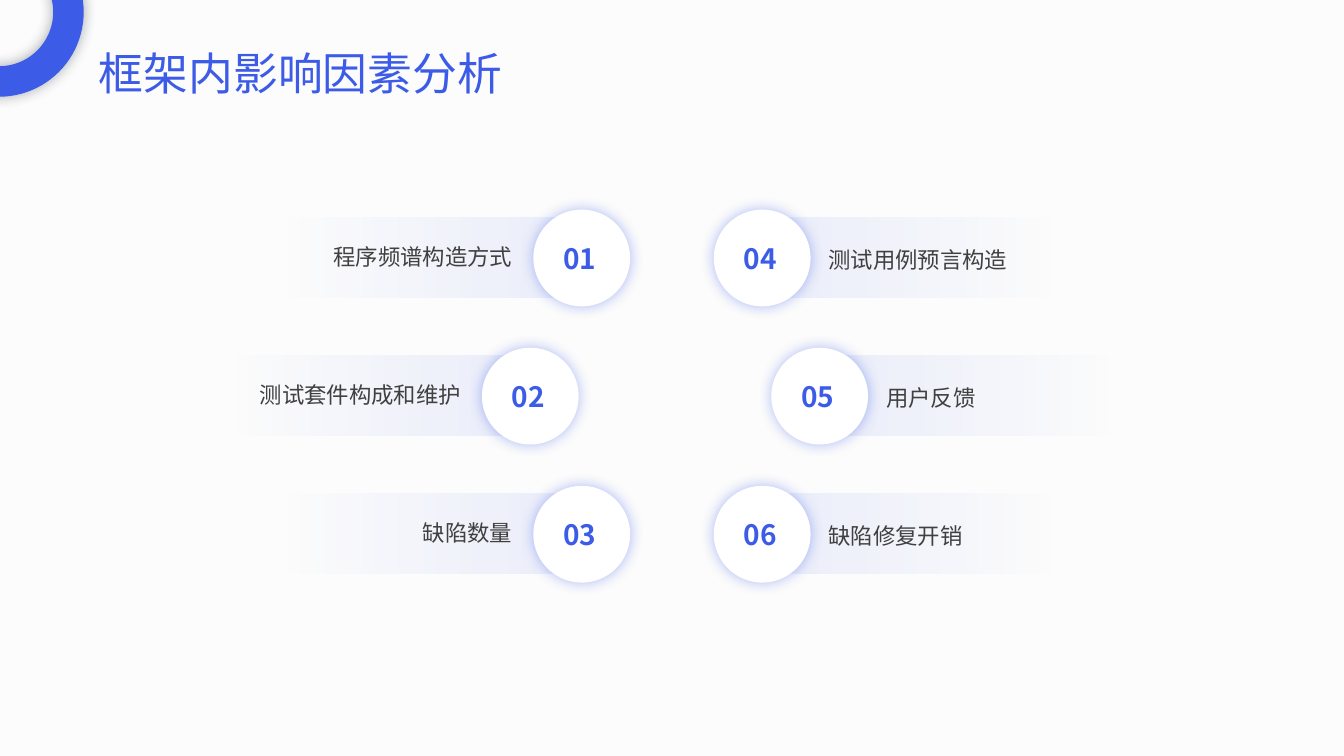
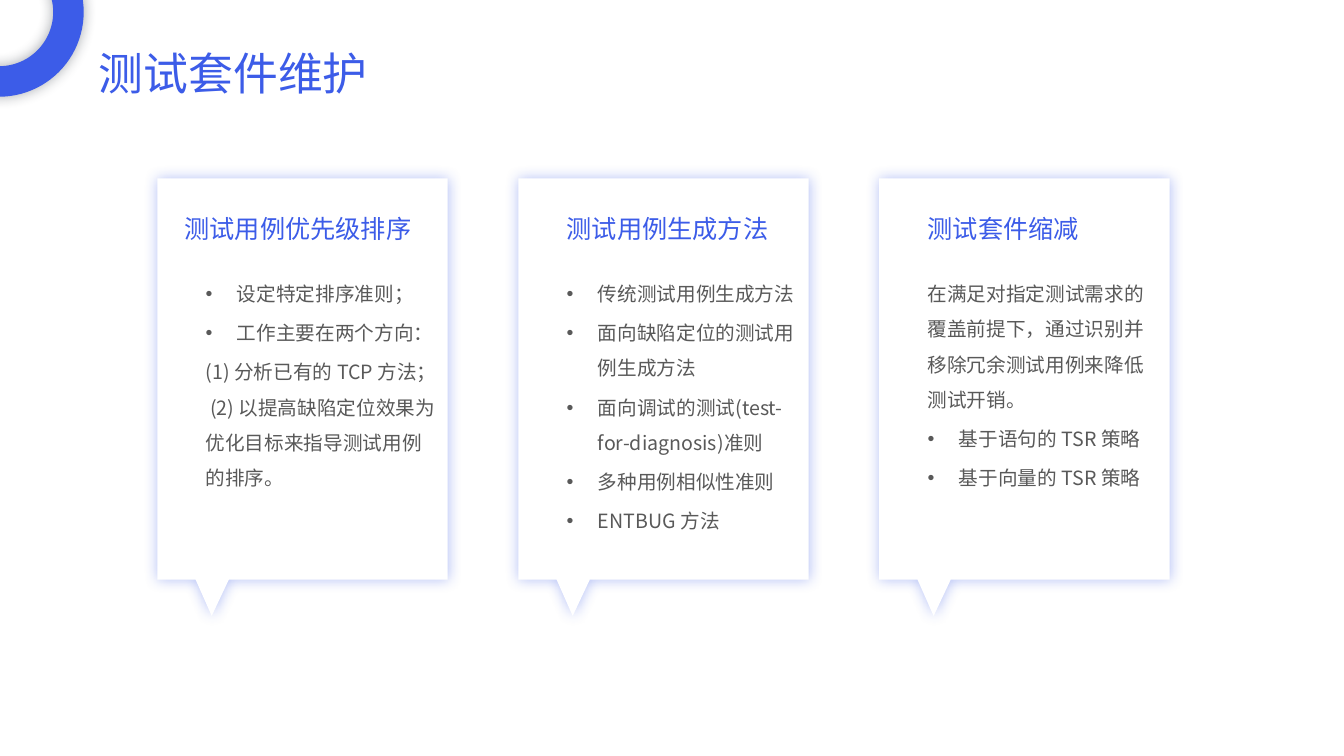
from lxml import etree
from pptx import Presentation
from pptx.dml.color import RGBColor
from pptx.enum.shapes import MSO_SHAPE
from pptx.enum.text import MSO_ANCHOR, MSO_AUTO_SIZE, PP_ALIGN
from pptx.oxml.ns import qn
from pptx.util import Inches, Pt

RECT, OVAL, DONUT = MSO_SHAPE.RECTANGLE, MSO_SHAPE.OVAL, MSO_SHAPE.DONUT
TOP, MIDDLE = MSO_ANCHOR.TOP, MSO_ANCHOR.MIDDLE
LEFT, CENTER, RIGHT = PP_ALIGN.LEFT, PP_ALIGN.CENTER, PP_ALIGN.RIGHT
FIXED = MSO_AUTO_SIZE.NONE

FONT = "Noto Sans CJK SC"
COLORS = {
    "blue": "3C5CE8",
    "white": "FFFFFF",
    "pale": "FCFCFC",
    "label": "404040",
    "body": "595959",
    "shade": "222A35",
}
TITLE_ONLY, COMPARE = 5, 4

# Circle left, circle top, number, label
ROW_TOP, ROW_STEP = 2.08, 1.37
LEFT_ROWS = [
    (5.29, "01", "程序频谱构造方式"),
    (4.78, "02", "测试套件构成和维护"),
    (5.29, "03", "缺陷数量"),
]
RIGHT_ROWS = [
    (7.08, "04", "测试用例预言构造"),
    (7.65, "05", "用户反馈"),
    (7.08, "06", "缺陷修复开销"),
]

# Head, inset of the head, lines as (bulleted, text)
CARD_LEFT, CARD_TOP, CARD_STEP = 1.56, 1.77, 3.58
CARDS = [
    ("测试用例优先级排序", 0, [
        (True, "设定特定排序准则；"),
        (True, "工作主要在两个方向："),
        (False, "(1) 分析已有的 TCP 方法； (2) 以提高缺陷定位效果"
                "为优化目标来指导测试用例的排序。"),
    ]),
    ("测试用例生成方法", 0.21, [
        (True, "传统测试用例生成方法"),
        (True, "面向缺陷定位的测试用例生成方法"),
        (True, "面向调试的测试(test-for-diagnosis)准则"),
        (True, "多种用例相似性准则"),
        (True, "ENTBUG 方法"),
    ]),
    ("测试套件缩减", 0.21, [
        (False, "在满足对指定测试需求的覆盖前提下，通过识别并"
                "移除冗余测试用例来降低测试开销。"),
        (True, "基于语句的 TSR 策略"),
        (True, "基于向量的 TSR 策略"),
    ]),
]


def rgb(name):
    return RGBColor.from_string(COLORS[name])


def style(para, size, color, align=LEFT, bold=False):
    para.alignment = align
    font = para.font
    font.size, font.bold, font.name = Pt(size), bold, FONT
    font.color.rgb = rgb(color)
    props = para._p.pPr.find(qn("a:defRPr"))
    etree.SubElement(props, qn("a:ea"), typeface=FONT)


def place(shape, left, top, width, height):
    shape.left, shape.top = Inches(left), Inches(top)
    shape.width, shape.height = Inches(width), Inches(height)


def pad(frame, side, end, anchor):
    frame.margin_left = frame.margin_right = Inches(side)
    frame.margin_top = frame.margin_bottom = Inches(end)
    frame.vertical_anchor = anchor
    frame.word_wrap = True
    frame.auto_size = FIXED


def add_alpha(parent, percent):
    etree.SubElement(parent, qn("a:alpha"), val=str(percent * 1000))


def paint(shape, color, glow):
    """Fill without an outline, and add a soft even shadow."""
    shape.fill.solid()
    shape.fill.fore_color.rgb = rgb(color)
    shape.line.fill.background()
    shape.shadow.inherit = False
    effects = shape._element.spPr.find(qn("a:effectLst"))
    outer = etree.SubElement(effects, qn("a:outerShdw"), blurRad=str(Pt(10)),
                             dist="0", dir="0", algn="ctr", rotWithShape="0")
    add_alpha(etree.SubElement(outer, qn("a:srgbClr"), val=COLORS[glow]), 40)


def add_shape(slide, kind, left, top, width, height):
    return slide.shapes.add_shape(kind, Inches(left), Inches(top),
                                  Inches(width), Inches(height))


def add_text(slide, box, text, size, color, align=LEFT, side=0.1, end=0.05,
             anchor=TOP):
    shape = slide.shapes.add_textbox(*map(Inches, box))
    pad(shape.text_frame, side, end, anchor)
    para = shape.text_frame.paragraphs[0]
    para.text = text
    style(para, size, color, align)


def start_slide(deck, layout, title, back):
    slide = deck.slides.add_slide(deck.slide_layouts[layout])
    slide.background.fill.solid()
    slide.background.fill.fore_color.rgb = rgb(back)
    ring = add_shape(slide, DONUT, -0.85, -0.72, 1.68, 1.68)
    ring.adjustments[0] = 0.18
    paint(ring, "blue", "shade")
    head = slide.shapes.title
    place(head, 0.88, 0.4, 4.62, 0.64)
    pad(head.text_frame, 0.1, 0.05, TOP)
    head.text_frame.text = title
    style(head.text_frame.paragraphs[0], 32, "blue")
    return slide


def add_band(slide, left, top, alphas):
    band = add_shape(slide, RECT, left, top, 3.03, 0.79)
    band.line.fill.background()
    band.shadow.inherit = False
    band.fill.gradient()
    band.fill.gradient_angle = 0
    for stop, alpha in zip(band.fill.gradient_stops, alphas):
        stop.color.rgb = rgb("blue")
    stops = band._element.spPr.iter(qn("a:srgbClr"))
    for color, alpha in zip(list(stops), alphas):
        add_alpha(color, alpha)


def add_factor(slide, left, top, number, label, on_left):
    """Add a numbered circle whose fading band points away from the middle."""
    if on_left:
        add_band(slide, left - 2.61, top + 0.08, (0, 10))
        box, align = (left - 2.36, top + 0.28, 2.25, 0.37), RIGHT
    else:
        add_band(slide, left + 0.49, top + 0.08, (10, 0))
        box, align = (left + 1.04, top + 0.31, 2.25, 0.37), LEFT
    circle = add_shape(slide, OVAL, left, top, 0.96, 0.96)
    paint(circle, "white", "blue")
    frame = circle.text_frame
    pad(frame, 0, 0, MIDDLE)
    frame.margin_right = Inches(0.04)
    frame.paragraphs[0].text = number
    style(frame.paragraphs[0], 20, "blue", CENTER, True)
    add_text(slide, box, label, 16, "label", align)


def fill_list(frame, lines):
    pad(frame, 0.27, 0.13, TOP)
    for i, (dotted, text) in enumerate(lines):
        para = frame.add_paragraph() if i else frame.paragraphs[0]
        para.text = text
        para.line_spacing = 1.5
        props = para._p.get_or_add_pPr()
        indent = Inches(0.31) if dotted else 0
        props.set("marL", str(indent))
        props.set("indent", str(-indent))
        if dotted:
            etree.SubElement(props, qn("a:buFont"), typeface="Arial")
            etree.SubElement(props, qn("a:buChar"), char="•")
        else:
            etree.SubElement(props, qn("a:buNone"))
        style(para, 14, "body")


def add_card(slide, left, top, head, inset, lines, holder):
    """Add a card with a tail, its head, and its list in the placeholder."""
    edge = [(0, 0), (2.88, 0), (2.88, 3.98), (0.71, 3.98), (0.54, 4.34),
            (0.38, 3.98), (0, 3.98)]
    dots = [(Inches(left + x), Inches(top + y)) for x, y in edge]
    pen = slide.shapes.build_freeform(*dots[0])
    pen.add_line_segments(dots[1:])
    card = pen.convert_to_shape()
    paint(card, "white", "blue")
    slide.shapes._spTree.insert(2, card._element)  # behind the list
    add_text(slide, (left + inset, top + 0.21, 2.89, 0.57), head, 18, "blue",
             side=0.27, end=0.13, anchor=MIDDLE)
    place(holder, left + 0.21, top + 0.78, 2.83, 2.49)
    fill_list(holder.text_frame, lines)


def add_factors(deck):
    slide = start_slide(deck, TITLE_ONLY, "框架内影响因素分析", "pale")
    for rows, on_left in ((LEFT_ROWS, True), (RIGHT_ROWS, False)):
        for i, (left, number, label) in enumerate(rows):
            add_factor(slide, left, ROW_TOP + i * ROW_STEP, number, label,
                       on_left)


def add_upkeep(deck):
    slide = start_slide(deck, COMPARE, "测试套件维护", "white")
    *holders, spare = list(slide.placeholders)[1:]
    spare._element.getparent().remove(spare._element)
    for i, (card, holder) in enumerate(zip(CARDS, holders)):
        add_card(slide, CARD_LEFT + i * CARD_STEP, CARD_TOP, *card, holder)


def main():
    deck = Presentation()
    deck.slide_width, deck.slide_height = Inches(13.33), Inches(7.5)
    add_factors(deck)
    add_upkeep(deck)
    deck.save("out.pptx")


if __name__ == "__main__":
    main()
